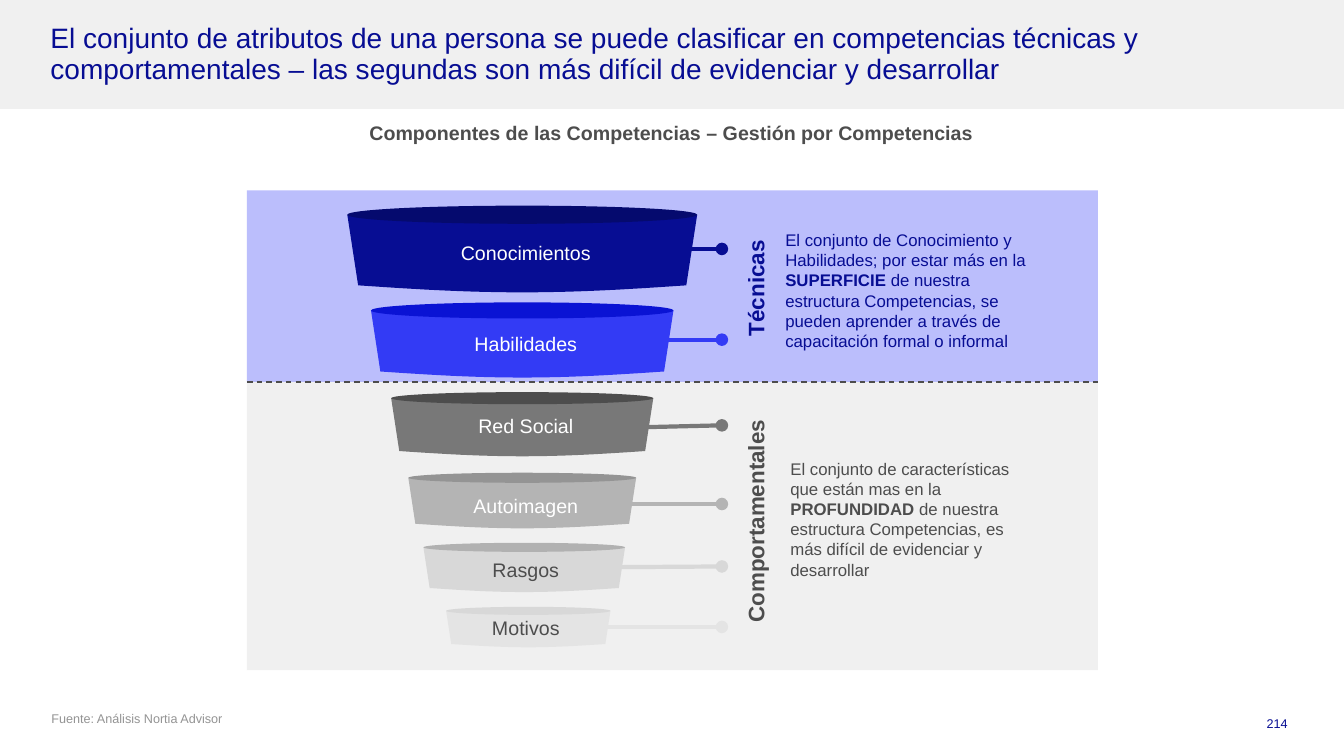
from dataclasses import dataclass
from math import cos, pi

from pptx import Presentation
from pptx.dml.color import RGBColor
from pptx.enum.dml import MSO_LINE
from pptx.enum.shapes import MSO_CONNECTOR, MSO_SHAPE
from pptx.enum.text import MSO_ANCHOR, MSO_AUTO_SIZE, PP_ALIGN
from pptx.oxml.ns import qn
from pptx.util import Inches, Pt
from lxml import etree

RECT, OVAL = MSO_SHAPE.RECTANGLE, MSO_SHAPE.OVAL
STRAIGHT, DASH = MSO_CONNECTOR.STRAIGHT, MSO_LINE.DASH
LEFT, MID, RIGHT = PP_ALIGN.LEFT, PP_ALIGN.CENTER, PP_ALIGN.RIGHT
TOP, CENTER = MSO_ANCHOR.TOP, MSO_ANCHOR.MIDDLE
FIXED = MSO_AUTO_SIZE.NONE


@dataclass(frozen=True)
class Theme:
    font: str = "Arial"
    navy: str = "070D93"
    ink: str = "050A6E"
    blue: str = "333BF5"
    deep: str = "0A13D4"
    pale: str = "BBBEFC"
    dark: str = "4D4D4D"
    gray: str = "787878"
    mute: str = "949494"
    ash: str = "B4B4B4"
    shade: str = "B1B1B1"
    mist: str = "D8D8D8"
    fog: str = "E4E4E4"
    panel: str = "F0F0F0"
    white: str = "FFFFFF"
    head: int = 20
    side: int = 16
    label: int = 14
    body: int = 12
    note: int = 9


class Board:
    def __init__(self, slide, theme):
        self.slide = slide
        self.shapes = slide.shapes
        self.theme = theme

    def paint(self, shape, color):
        shape.shadow.inherit = False
        shape.fill.solid()
        shape.fill.fore_color.rgb = RGBColor.from_string(color)
        shape.line.fill.background()
        return shape

    def block(self, kind, area, color):
        shape = self.shapes.add_shape(kind, *map(Inches, area))
        return self.paint(shape, color)

    def band(self, area, color):
        shape = self.block(RECT, area, color)
        self.shapes._spTree.insert(2, shape._element)

    def put(self, shape, runs, size, color, align=LEFT, anchor=TOP,
            pads=(0.1, 0.05), pitch=None):
        frame = shape.text_frame
        frame.word_wrap = True
        frame.auto_size = FIXED
        frame.vertical_anchor = anchor
        frame.margin_left = frame.margin_right = Inches(pads[0])
        frame.margin_top = frame.margin_bottom = Inches(pads[1])
        para = frame.paragraphs[0]
        para.alignment = align
        if pitch:
            para.line_spacing = pitch
        for words, bold in runs:
            run = para.add_run()
            run.text = words
            run.font.name = self.theme.font
            run.font.size = Pt(size)
            run.font.bold = bold
            run.font.color.rgb = RGBColor.from_string(color)

    def text(self, area, runs, size, color, **look):
        box = self.shapes.add_textbox(*map(Inches, area))
        self.put(box, runs, size, color, **look)

    def title(self, area, words):
        box = self.shapes.title
        box.left, box.top, box.width, box.height = map(Inches, area)
        self.put(box, [(words, False)], self.theme.head, self.theme.navy,
                 anchor=CENTER, pads=(0.04, 0.05), pitch=0.9)

    def side(self, mid, size, words, fill, color):
        area = (mid[0] - size[0] / 2, mid[1] - size[1] / 2, *size)
        shape = self.block(RECT, area, fill)
        shape.rotation = 270
        self.put(shape, [(words, True)], self.theme.side, color,
                 align=MID, anchor=CENTER, pads=(0, 0.05), pitch=0.9)

    def line(self, start, end, color, width, dash=None, dot=False):
        link = self.shapes.add_connector(STRAIGHT, *map(Inches, (*start, *end)))
        link.line.color.rgb = RGBColor.from_string(color)
        link.line.width = Pt(width)
        if dash:
            link.line.dash_style = dash
        props = link._element.spPr
        if dot:
            etree.SubElement(props.find(qn("a:ln")), qn("a:tailEnd"), type="oval")
        etree.SubElement(props, qn("a:effectLst"))

    def cup(self, mid, rim, width, lid, color, shade):
        half, base, low = width / 2, width * 0.469, rim + width * 0.202
        steps = 24
        curve = [1 - 2 * i / steps for i in range(steps + 1)]
        points = [(mid + half, rim)]
        points += [(mid + base * u, low + width * 0.02 * cos(pi * u / 2))
                   for u in curve]
        shell = self.shapes.build_freeform(Inches(mid - half), Inches(rim))
        shell.add_line_segments([(Inches(x), Inches(y)) for x, y in points])
        self.paint(shell.convert_to_shape(), color)
        self.block(OVAL, (mid - half, rim - lid / 2, width, lid), shade)


def main():
    deck = Presentation()
    deck.slide_width, deck.slide_height = Inches(13.33), Inches(7.5)
    look = Theme()
    board = Board(deck.slides.add_slide(deck.slide_layouts[5]), look)

    board.band((0, 0, 13.33, 1.08), look.panel)
    board.title((0.46, 0.2, 12.4, 0.69),
                "El conjunto de atributos de una persona se puede clasificar en "
                "competencias técnicas y comportamentales – las segundas son más "
                "difícil de evidenciar y desarrollar")
    board.text((0.46, 1.18, 12.4, 0.31),
               [("Componentes de las Competencias – Gestión por Competencias", True)],
               look.label, look.dark, align=MID, pitch=0.9)

    left, wide, split = 2.45, 8.44, 3.79
    board.block(RECT, (left, 1.89, wide, split - 1.89), look.pale)
    board.block(RECT, (left, split, wide, 2.86), look.panel)

    cups = [
        ("Conocimientos", 5.18, 2.13, 3.47, 0.18, look.navy, look.ink,
         look.white, 6.16, 2.47, 2.47, 2.34),
        ("Habilidades", 5.18, 3.08, 3, 0.16, look.blue, look.deep,
         look.white, 6.01, 3.37, 3.37, 3.24),
        ("Red Social", 5.18, 3.95, 2.6, 0.12, look.gray, look.dark,
         look.white, 5.89, 4.25, 4.22, 4.06),
        ("Autoimagen", 5.18, 4.74, 2.26, 0.1, look.ash, look.mute,
         look.white, 5.7, 5, 5, 4.85),
        ("Rasgos", 5.2, 5.43, 2, 0.09, look.mist, look.shade,
         look.dark, 5.58, 5.63, 5.62, 5.48),
        ("Motivos", 5.24, 6.06, 1.63, 0.08, look.fog, look.mist,
         look.dark, 5.58, 6.22, 6.22, 6.06),
    ]
    for name, mid, rim, width, lid, color, shade, ink, x, y, end, top in cups:
        board.cup(mid, rim, width, lid, color, shade)
        board.line((x, y), (7.16, end), color, 3, dot=True)
        board.text((4.07, top, 2.29, 0.34), [(name, False)], look.label, ink,
                   align=MID, anchor=CENTER, pads=(0.12, 0.06), pitch=Pt(16.5))

    board.side((7.51, 5.17), (2.16, 0.34), "Comportamentales",
               look.panel, look.dark)
    board.side((7.51, 2.86), (1.09, 0.34), "Técnicas", look.pale, look.navy)
    board.line((left, split), (left + wide, split), look.dark, 1, dash=DASH)

    board.text((7.69, 2.23, 2.65, 1.31), [
        ("El conjunto de Conocimiento y Habilidades; por estar más en la ", False),
        ("SUPERFICIE", True),
        (" de nuestra estructura Competencias, se pueden aprender a través de "
         "capacitación formal o informal", False),
    ], look.body, look.navy)
    board.text((7.74, 4.5, 2.61, 1.31), [
        ("El conjunto de características que están mas en la ", False),
        ("PROFUNDIDAD", True),
        (" de nuestra estructura Competencias, es más difícil de evidenciar y "
         "desarrollar", False),
    ], look.body, look.dark)

    board.text((0.47, 7.05, 11.02, 0.4), [("Fuente: Análisis Nortia Advisor", False)],
               look.note, look.mute, pads=(0.04, 0))
    board.text((11.76, 7.05, 1.11, 0.4), [("214", False)],
               look.note, look.navy, align=RIGHT)
    deck.save("out.pptx")


if __name__ == "__main__":
    main()
